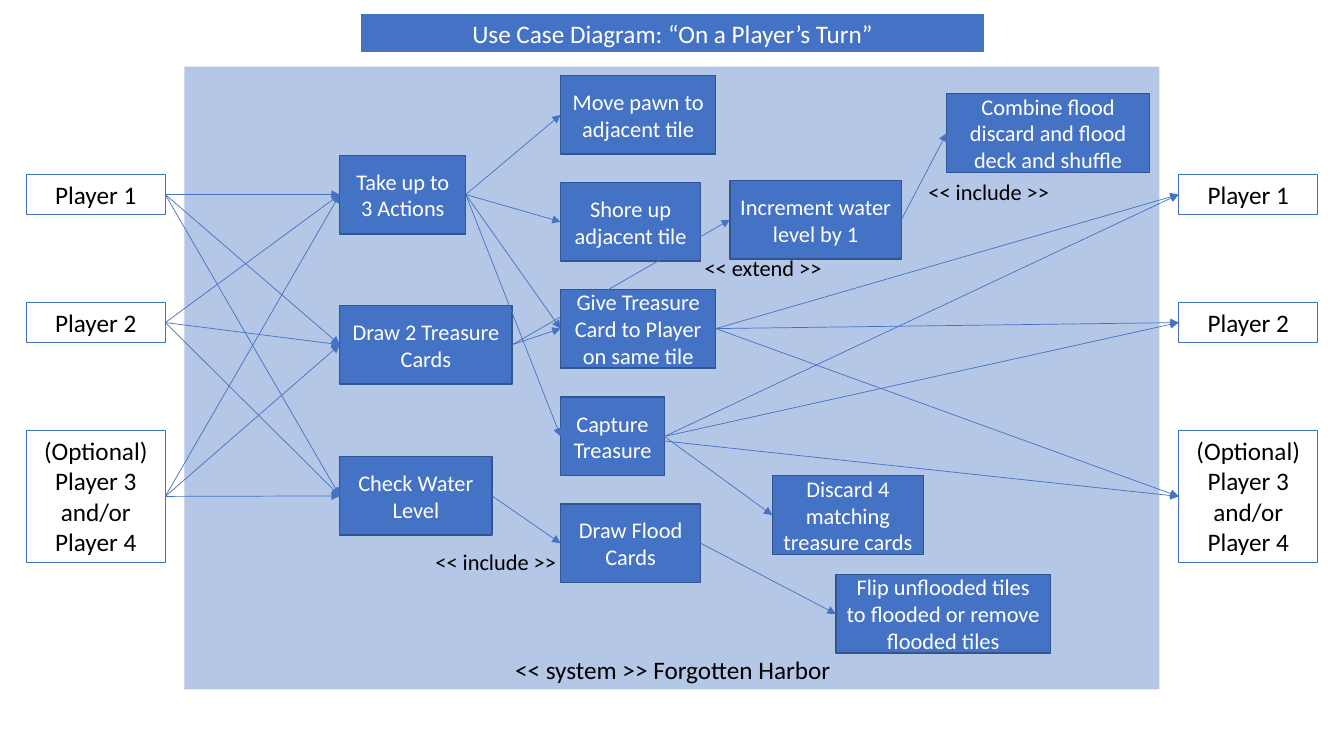
from pptx import Presentation
from pptx.dml.color import RGBColor
from pptx.enum.shapes import MSO_CONNECTOR, MSO_SHAPE
from pptx.enum.text import MSO_ANCHOR, MSO_AUTO_SIZE, PP_ALIGN
from pptx.oxml.ns import qn
from pptx.util import Inches, Pt
from lxml import etree

RECT = MSO_SHAPE.RECTANGLE
STRAIGHT = MSO_CONNECTOR.STRAIGHT
TOP, MIDDLE = MSO_ANCHOR.TOP, MSO_ANCHOR.MIDDLE
LEFT, CENTER = PP_ALIGN.LEFT, PP_ALIGN.CENTER
NO_FIT = MSO_AUTO_SIZE.NONE

BLUE = RGBColor(0x44, 0x72, 0xC4)
NAVY = RGBColor(0x32, 0x54, 0x91)
PALE = RGBColor(0xB4, 0xC7, 0xE7)
WHITE = RGBColor(0xFF, 0xFF, 0xFF)
BLACK = RGBColor(0, 0, 0)

LEFT_SIDE, RIGHT_SIDE = 1, 3  # connection sites of a rectangle


def write(shape, text, size, color, align=CENTER, anchor=TOP, wrap=True):
    """Put one formatted paragraph into a shape."""
    frame = shape.text_frame
    frame.text = text
    frame.word_wrap = wrap
    frame.auto_size = NO_FIT
    frame.vertical_anchor = anchor
    para = frame.paragraphs[0]
    para.alignment = align
    para.font.name = "Calibri"
    para.font.size = Pt(size)
    para.font.color.rgb = color


def add_box(left, top, width, height, fill=None, line=None, weight=1):
    """Add a flat rectangle; no fill or line colour means none is drawn."""
    box = slide.shapes.add_shape(
        RECT, Inches(left), Inches(top), Inches(width), Inches(height))
    box.shadow.inherit = False
    for part, color in ((box.fill, fill), (box.line.fill, line)):
        if color is None:
            part.background()
        else:
            part.solid()
            part.fore_color.rgb = color
    if line is not None:
        box.line.width = Pt(weight)
    return box


deck = Presentation()
deck.slide_width, deck.slide_height = Inches(13.33), Inches(7.5)
slide = deck.slides.add_slide(deck.slide_layouts[5])

# Title bar
title = slide.shapes.title
title.left, title.top = Inches(3.57), Inches(0.13)
title.width, title.height = Inches(6.2), Inches(0.4)
title.fill.solid()
title.fill.fore_color.rgb = BLUE
title.line.color.rgb = WHITE
title.line.width = Pt(1.5)
write(title, "Use Case Diagram: “On a Player’s Turn”", 18, WHITE)

# System boundary
add_box(1.83, 0.66, 9.67, 6.18, fill=PALE)

# The same players stand on both sides
PLAYERS = [
    ("Player 1", 1.73, 0.4),
    ("Player 2", 3, 0.4),
    ("(Optional) Player 3 and/or Player 4", 4.27, 1.31),
]
sides = []
for left in (0.26, 11.69):
    group = []
    for text, top, height in PLAYERS:
        box = add_box(left, top, 1.38, height, line=BLUE, weight=0.75)
        write(box, text, 18, BLACK)
        group.append(box)
    sides.append(group)
actors, targets = sides

# Use cases: key, text, left, top, width
CASES = [
    ("act", "Take up to 3 Actions", 3.37, 1.54, 1.25),
    ("draw", "Draw 2 Treasure Cards", 3.37, 3.03, 1.71),
    ("check", "Check Water Level", 3.37, 4.53, 1.51),
    ("move", "Move pawn to adjacent tile", 5.56, 0.75, 1.54),
    ("shore", "Shore up adjacent tile", 5.56, 1.81, 1.39),
    ("give", "Give Treasure Card to Player on same tile", 5.56, 2.87, 1.54),
    ("capture", "Capture Treasure", 5.56, 3.94, 1.03),
    ("flood", "Draw Flood Cards", 5.56, 5, 1.39),
    ("discard", "Discard 4 matching treasure cards", 7.66, 4.72, 1.5),
    ("flip", "Flip unflooded tiles to flooded or remove flooded tiles",
     8.29, 5.7, 2.13),
    ("raise", "Increment water level by 1", 7.24, 1.79, 1.7),
    ("shuffle", "Combine flood discard and flood deck and shuffle",
     9.39, 0.93, 2.01),
]
cases = {}
for key, text, left, top, width in CASES:
    box = add_box(left, top, width, 0.78, fill=BLUE, line=NAVY)
    write(box, text, 16, WHITE, anchor=MIDDLE)
    cases[key] = box

# Arrows run from a right side to a left side
FLOWS = [
    ("act", "move"), ("act", "shore"), ("act", "give"), ("act", "capture"),
    ("draw", "give"), ("draw", "raise"), ("raise", "shuffle"),
    ("check", "flood"), ("flood", "flip"), ("capture", "discard"),
]
links = [(actor, cases[key])
         for key in ("act", "draw", "check") for actor in actors]
links += [(cases[start], cases[end]) for start, end in FLOWS]
links += [(cases[key], target)
          for key in ("give", "capture") for target in targets]

for start, end in links:
    arrow = slide.shapes.add_connector(STRAIGHT, 0, 0, 0, 0)
    arrow.begin_connect(start, RIGHT_SIDE)
    arrow.end_connect(end, LEFT_SIDE)
    if start is cases["capture"] and end is targets[2]:
        arrow.begin_x = Inches(6.17)  # starts inside the box
    arrow.line.color.rgb = BLUE
    arrow.line.width = Pt(0.5)
    etree.SubElement(arrow.line._get_or_add_ln(), qn("a:tailEnd"),
                     type="triangle")
    etree.SubElement(arrow._element.spPr, qn("a:effectLst"))

# Labels: text, left, top, width, height, size, wrap
LABELS = [
    ("<< system >> Forgotten Harbor", 5.01, 6.44, 3.3, 0.4, 18, False),
    ("<< include >>", 4.22, 5.39, 1.71, 0.37, 16, True),
    ("<< extend >>", 6.89, 2.47, 1.71, 0.37, 16, True),
    ("<< include >>", 9.11, 1.72, 1.71, 0.37, 16, True),
]
for text, left, top, width, height, size, wrap in LABELS:
    label = slide.shapes.add_textbox(
        Inches(left), Inches(top), Inches(width), Inches(height))
    write(label, text, size, BLACK, align=LEFT, wrap=wrap)

deck.save("out.pptx")
